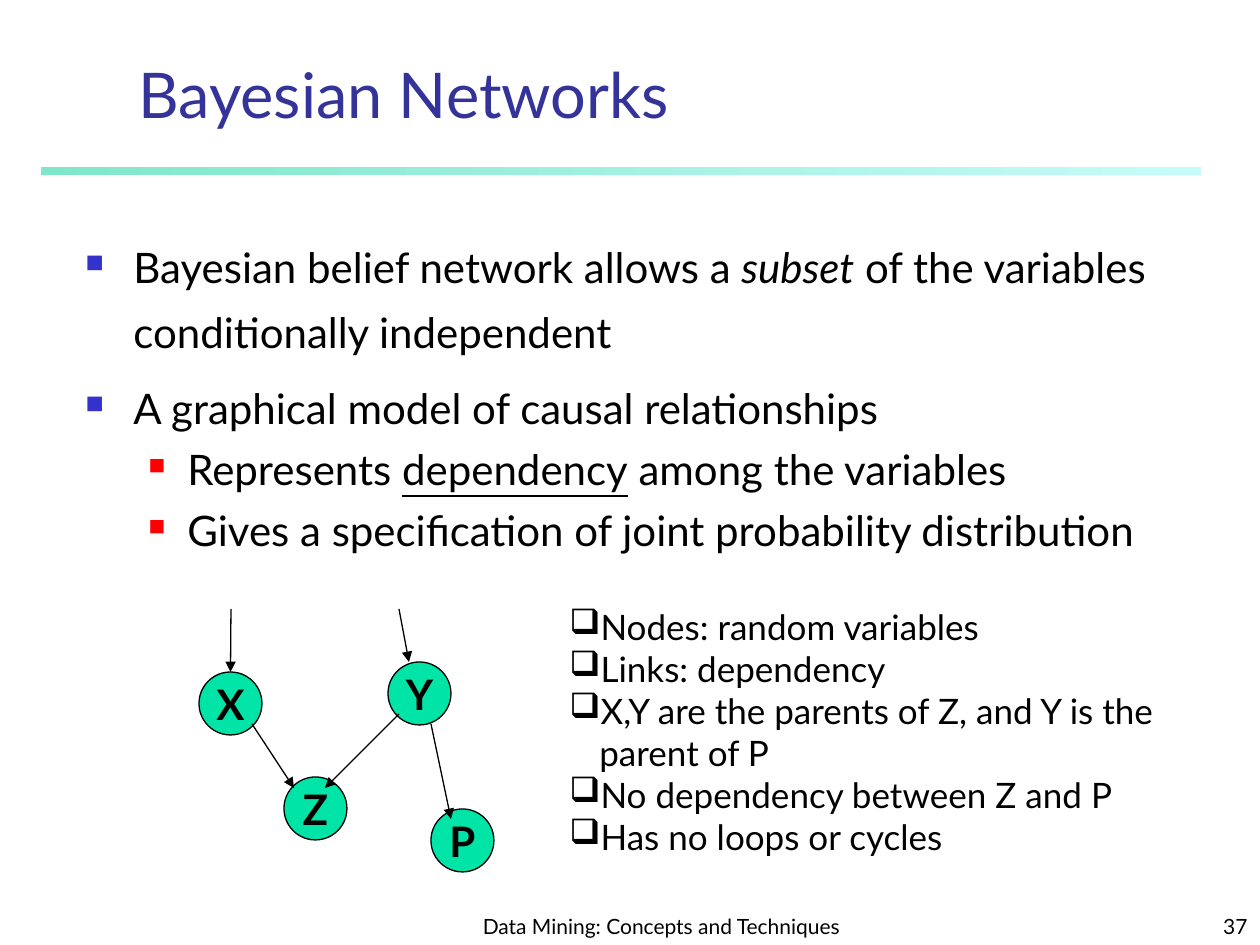
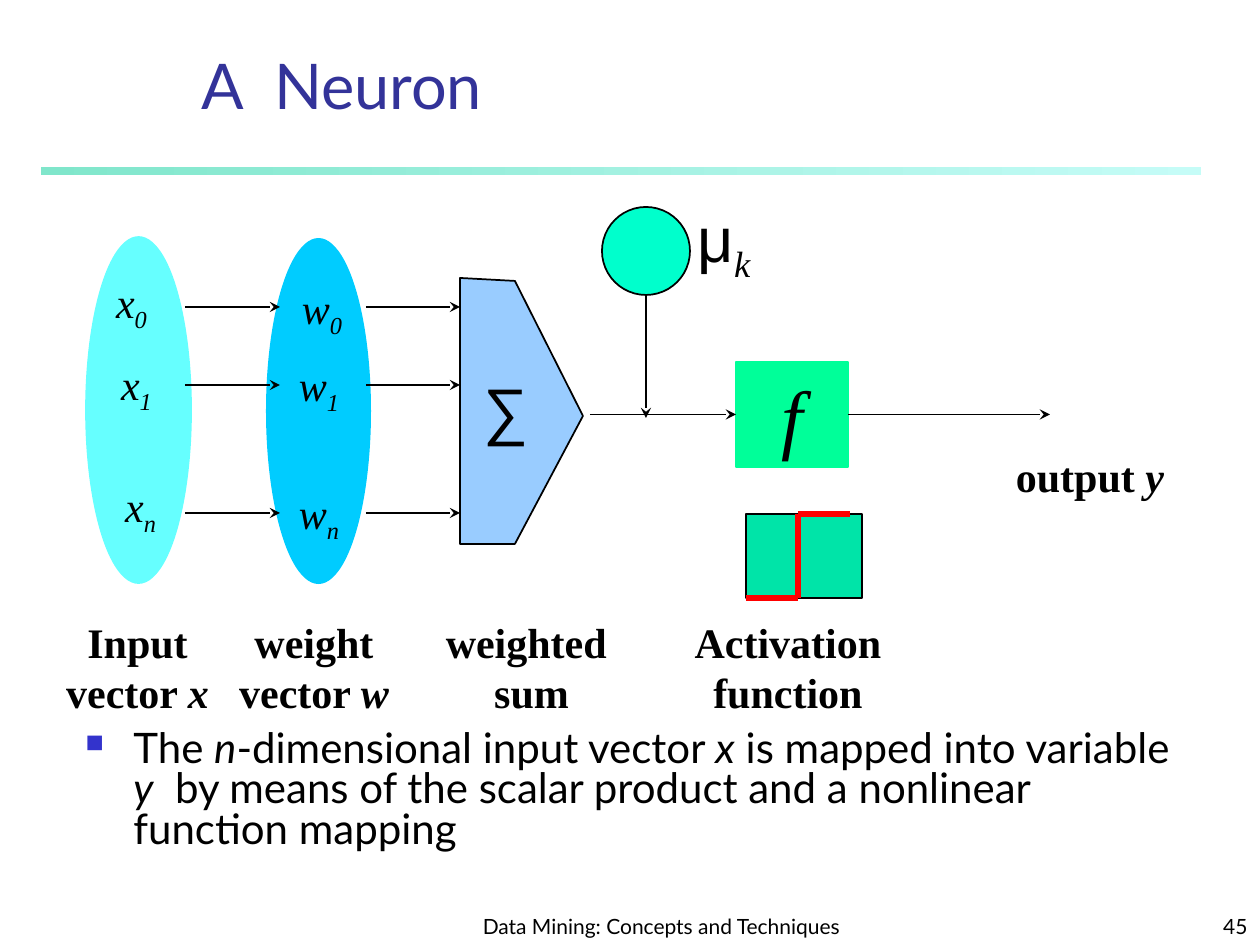
import pptx
import pptx.util
import pptx.dml.color
import pptx.enum.shapes
import pptx.enum.text
import pptx.oxml.ns
from lxml import etree

SCALE = 914400 / 126  # EMU in one px
HUES = {
    "title": "333399", "ink": "000000", "blue": "3333CC", "red": "FF0000",
    "band_a": "80E6CB", "band_b": "C5FCF7", "node": "00E4A8",
    "input": "66FFFF", "weight": "00CCFF", "sum": "99CCFF",
    "bias": "00FFCC", "func": "00FF99",
}
SANS, SERIF, PLAIN = "Lato", "Times New Roman", "Arial"
KIND = pptx.enum.shapes.MSO_SHAPE
ALIGN = pptx.enum.text.PP_ALIGN
ANCHOR = pptx.enum.text.MSO_ANCHOR
Pt = pptx.util.Pt


def px(*nums):
    return [round(n * SCALE) for n in nums]


def hue(name):
    return pptx.dml.color.RGBColor.from_string(HUES[name])


def add_tag(node, name, **attrs):
    return etree.SubElement(node, pptx.oxml.ns.qn("a:" + name), **attrs)


# ---- Text ----
def write(para, parts, size, font=SANS, color="ink", bold=False, italic=False):
    """Parts are strings or (string, style) with style i, u, sub or sub-k."""
    for part in [parts] if isinstance(parts, str) else parts:
        text, style = (part, "") if isinstance(part, str) else part
        run = para.add_run()
        run.text = text
        run.font.size, run.font.name = Pt(size), font
        run.font.color.rgb = hue(color)
        run.font.bold = bold
        run.font.italic = italic or style in ("i", "sub-k")
        if style == "u":
            run.font.underline = True
        if style.startswith("sub"):
            run._r.get_or_add_rPr().set("baseline", "-25000")
        if style == "sub-k":
            run.font.name = SERIF


def bullet(para, char, color, left, hang, size=100):
    props = para._p.get_or_add_pPr()
    props.set("marL", str(px(left)[0]))
    props.set("indent", str(-px(hang)[0]))
    add_tag(add_tag(props, "buClr"), "srgbClr", val=HUES[color])
    add_tag(props, "buSzPct", val=str(size * 1000))
    add_tag(props, "buChar", char=char)


def paras(frame, count):
    return [frame.paragraphs[0]] + [frame.add_paragraph() for _ in range(count - 1)]


def label(slide, box, lines, size, align=ALIGN.CENTER, anchor=ANCHOR.TOP,
          wrap=False, **look):
    frame = slide.shapes.add_textbox(*px(*box)).text_frame
    frame.word_wrap, frame.vertical_anchor = wrap, anchor
    for para, parts in zip(paras(frame, len(lines)), lines):
        para.alignment = align
        write(para, parts, size, **look)


def points(slide, box, items):
    """Items are (level, line spacing, parts)."""
    frame = slide.shapes.add_textbox(*px(*box)).text_frame
    frame.word_wrap = True
    marks = [("blue", 48, 48, 60), ("red", 102, 39, 55)]
    for num, (para, item) in enumerate(zip(paras(frame, len(items)), items)):
        level, space, parts = item
        color, left, hang, size = marks[level]
        bullet(para, "■", color, left, hang, size)
        para.line_spacing = space
        if num:
            para.space_before = Pt(6)
        write(para, parts, 24)


# ---- Shapes and lines ----
def shape(slide, kind, box, fill, line=None, width=1):
    item = slide.shapes.add_shape(kind, *px(*box))
    paint(item, fill, line, width)
    return item


def paint(item, fill, line=None, width=1):
    item.shadow.inherit = False
    item.fill.solid()
    item.fill.fore_color.rgb = hue(fill)
    if line:
        item.line.color.rgb = hue(line)
        item.line.width = Pt(width)
    else:
        item.line.fill.background()


def link(slide, start, end, head=None, width=1, color="ink"):
    line = slide.shapes.add_connector(
        pptx.enum.shapes.MSO_CONNECTOR.STRAIGHT, *px(*start, *end))
    line.line.color.rgb = hue(color)
    line.line.width = Pt(width)
    if head:
        add_tag(line.line._get_or_add_ln(), "tailEnd", type=head)
    add_tag(line._element.spPr, "effectLst")
    return line


# ---- Shared frame ----
def frame(deck, title, box, number):
    slide = deck.slides.add_slide(deck.slide_layouts[6])
    band = shape(slide, KIND.RECTANGLE, (41, 167, 1160, 8), "band_a")
    band.fill.gradient()
    band.fill.gradient_angle = 0
    for stop, name in zip(band.fill.gradient_stops, ("band_a", "band_b")):
        stop.color.rgb = hue(name)
    label(slide, box, [title], 36, ALIGN.LEFT, ANCHOR.BOTTOM, True, color="title")
    label(slide, (462, 892, 399, 53), ["Data Mining: Concepts and Techniques"],
          12, ALIGN.CENTER, ANCHOR.BOTTOM, True)
    label(slide, (998, 892, 262, 53), [number], 12, ALIGN.RIGHT, ANCHOR.BOTTOM, True)
    return slide


# ---- Bayesian network ----
def graph(slide, box):
    x, y = box
    nodes = {}
    for name, dx, dy in [("X", 0, 63), ("Y", 189, 53), ("Z", 85, 168), ("P", 232, 200)]:
        node = shape(slide, KIND.FLOWCHART_CONNECTOR, (x + dx, y + dy, 63, 63),
                     "node", "ink", 0.75)
        node.text_frame.word_wrap = False
        node.text_frame.vertical_anchor = ANCHOR.MIDDLE
        para = node.text_frame.paragraphs[0]
        para.alignment = ALIGN.CENTER
        write(para, name, 24, bold=True)
        nodes[name] = node
    arrows = [(53, 115, 95, 179), (200, 105, 126, 179), (232, 115, 252, 210),
              (200, 0, 210, 53), (32, 0, 32, 63)]
    for ax, ay, bx, by in arrows:
        line = link(slide, (x + ax, y + ay), (x + bx, y + by), "triangle", 0.75)
    line.end_connect(nodes["X"], 0)


def notes(slide, box, lines):
    text = slide.shapes.add_textbox(*px(*box)).text_frame
    text.word_wrap = True
    for para, line in zip(paras(text, len(lines)), lines):
        bullet(para, "❑", "ink", 30, 30)
        write(para, line, 20)


# ---- Neuron ----
def layers(slide, box):
    x, y = box
    shape(slide, KIND.OVAL, (x + 180, y + 1, 105, 346), "weight")
    shape(slide, KIND.OVAL, (x, y, 105, 346), "input", "input")
    rows = [("0", 70, (17, 33), (203, 39)), ("1", 148, (22, 115), (200, 116)),
            ("n", 276, (26, 237), (200, 244))]
    for sub, mid, *spots in rows:
        for left, right in [(99, 194), (280, 374)]:
            link(slide, (x + left, y + mid), (x + right, y + mid), "stealth")
        for name, width, (dx, dy) in zip("xw", (57, 66), spots):
            label(slide, (x + dx, y + dy, width, 71), [[name, (sub, "sub")]], 24,
                  font=SERIF, italic=True)


def output(slide, box):
    x, y = box
    # Weighted sum
    path = [(x + dx, y + dy) for dx, dy in
            [(0, 85), (0, 351), (55, 351), (123, 223), (55, 88)]]
    draw = slide.shapes.build_freeform(*path[0], scale=SCALE)
    draw.add_line_segments(path[1:], close=True)
    paint(draw.convert_to_shape(), "sum", "ink")
    label(slide, (x + 11, y + 171, 69, 88), ["∑"], 36, font=PLAIN)
    # Bias
    shape(slide, KIND.OVAL, (x + 142, y + 14, 88, 88), "bias", "ink")
    label(slide, (x + 225, y, 78, 98), [["μ", ("k", "sub-k")]], 36, font=PLAIN)
    link(slide, (x + 186, y + 102), (x + 186, y + 225), "stealth")
    # Function and its links
    func = shape(slide, KIND.RECTANGLE, (x + 276, y + 169, 112, 105), "func", "func")
    func.text_frame.vertical_anchor = ANCHOR.TOP
    para = func.text_frame.paragraphs[0]
    para.alignment = ALIGN.CENTER
    write(para, "f", 44, font=SERIF, italic=True)
    mid = y + 221.5
    link(slide, (x + 130, mid), (x + 276, mid), "stealth").end_connect(func, 1)
    link(slide, (x + 388, mid), (x + 590, mid), "stealth").begin_connect(func, 3)
    label(slide, (x + 543, y + 251, 174, 63), [["output ", ("y", "i")]], 24,
          font=SERIF, bold=True)
    # Step curve
    shape(slide, KIND.RECTANGLE, (x + 286, y + 321, 116, 84), "node", "ink", 0.75)
    steps = [(x + dx, y + dy) for dx, dy in
             [(286, 405), (338, 405), (338, 321), (390, 321)]]
    for start, end in zip(steps, steps[1:]):
        link(slide, start, end, width=3, color="red")


def captions(slide, box):
    x, y, high = box
    names = [(0, 169, ["Input", ["vector ", ("x", "i")]]),
             (173, 176, ["weight", ["vector ", ("w", "i")]]),
             (380, 197, ["weighted ", "sum"]),
             (629, 212, ["Activation", "function"])]
    for dx, width, lines in names:
        label(slide, (x + dx, y, width, high), lines, 24, font=SERIF, bold=True)


# ---- Slides ----
def bayes(deck):
    slide = frame(deck, "Bayesian Networks", (126, 53, 1074, 84), "37")
    points(slide, (73, 220, 1134, 672), [
        (0, 1.3, ["Bayesian belief network allows a ", ("subset", "i"),
                  " of the variables conditionally independent"]),
        (0, 1.3, "A graphical model of causal relationships"),
        (1, 1.0, ["Represents ", ("dependency", "u"), " among the variables"]),
        (1, 1.0, "Gives a specification of joint probability distribution")])
    graph(slide, (199, 609))
    notes(slide, (557, 599, 680, 265), [
        "Nodes: random variables", "Links: dependency",
        "X,Y are the parents of Z, and Y is the parent of P",
        "No dependency between Z and P", "Has no loops or cycles"])


def neuron(deck):
    slide = frame(deck, "A  Neuron", (189, 60, 747, 68), "45")
    points(slide, (73, 725, 1113, 147), [
        (0, 0.8, ["The ", ("n", "i"), "-dimensional input vector ", ("x", "i"),
                  " is mapped into variable ", ("y", "i"),
                  "  by means of the scalar product and a nonlinear function mapping"])])
    layers(slide, (86, 237))
    output(slide, (460, 193))
    captions(slide, (53, 610, 113))


def main():
    deck = pptx.Presentation()
    deck.slide_width, deck.slide_height = px(1260, 945)
    bayes(deck)
    neuron(deck)
    deck.save("out.pptx")


if __name__ == "__main__":
    main()
